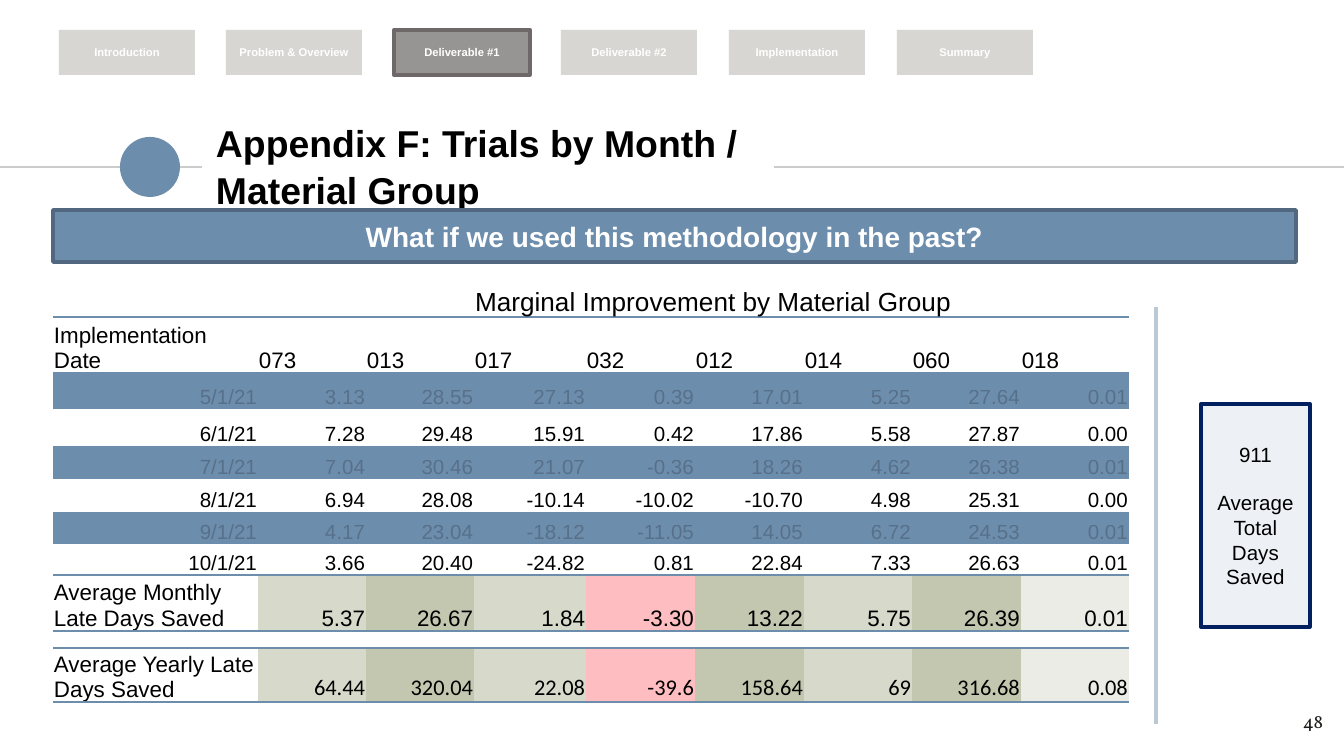
from pptx import Presentation
from pptx.dml.color import RGBColor
from pptx.enum.shapes import MSO_CONNECTOR as Connector, MSO_SHAPE as Preset
from pptx.enum.text import MSO_ANCHOR as Anchor, MSO_AUTO_SIZE as AutoSize, PP_ALIGN as Align
from pptx.oxml import parse_xml
from pptx.oxml.ns import nsdecls, qn
from pptx.util import Emu, Pt

SCALE = 914400 / 134.4
BLUE = "6D8DAD"
NO_TABLE_STYLE = "{2D5ABB26-0587-4C30-8999-92F81FD0307C}"
TABLE_LEFT = 53
COLUMNS = [205, 108, 108, 112, 109, 109, 108, 109, 108]
ROWS = [56, 36, 37, 33, 33, 32, 31, 56]
SAGE, OLIVE, PINK, PALE = "D7DACA", "C4C7B0", "FDBDC1", "EBECE5"
AVERAGE_FILLS = [None, SAGE, OLIVE, SAGE, PINK, OLIVE, SAGE, OLIVE, PALE]
SECTIONS = ["Introduction", "Problem & Overview", "Deliverable #1",
            "Deliverable #2", "Implementation", "Summary"]
CURRENT_SECTION = "Deliverable #1"
MONTHLY = [
    ["Implementation Date", "073", "013", "017", "032", "012", "014", "060", "018"],
    ["5/1/21", "3.13", "28.55", "27.13", "0.39", "17.01", "5.25", "27.64", "0.01"],
    ["6/1/21", "7.28", "29.48", "15.91", "0.42", "17.86", "5.58", "27.87", "0.00"],
    ["7/1/21", "7.04", "30.46", "21.07", "-0.36", "18.26", "4.62", "26.38", "0.01"],
    ["8/1/21", "6.94", "28.08", "-10.14", "-10.02", "-10.70", "4.98", "25.31", "0.00"],
    ["9/1/21", "4.17", "23.04", "-18.12", "-11.05", "14.05", "6.72", "24.53", "0.01"],
    ["10/1/21", "3.66", "20.40", "-24.82", "0.81", "22.84", "7.33", "26.63", "0.01"],
    ["Average Monthly Late Days Saved", "5.37", "26.67", "1.84", "-3.30", "13.22",
     "5.75", "26.39", "0.01"],
]
YEARLY = ["Average Yearly Late Days Saved", "64.44", "320.04", "22.08", "-39.6",
          "158.64", "69", "316.68", "0.08"]


def px(length):
    """Turn px into EMU."""
    return Emu(round(length * SCALE))


def rgb(value):
    """Turn a hex string into a colour."""
    return RGBColor.from_string(value)


def write(frame, text, size=12, font="Arial", color="000000", bold=False,
          align=Align.LEFT, gap=0, spacing=1.0):
    """Write one paragraph per line of text, with a gap in points between them."""
    for index, line in enumerate(text.split("\n")):
        para = frame.add_paragraph() if index else frame.paragraphs[0]
        para.alignment, para.line_spacing = align, spacing
        para.space_before = Pt(gap if index else 0)
        span = para.add_run()
        span.text = line
        span.font.size, span.font.name, span.font.bold = Pt(size), font, bold
        span.font.color.rgb = rgb(color)


def paint(item, element, color, alpha=100):
    """Fill a shape or cell with a colour of the given opacity, or with none."""
    if color is None:
        item.fill.background()
        return
    item.fill.solid()
    item.fill.fore_color.rgb = rgb(color)
    if alpha < 100:
        tint = element.find(f".//{qn('a:solidFill')}/{qn('a:srgbClr')}")
        tint.append(parse_xml(f'<a:alpha {nsdecls("a")} val="{alpha * 1000}"/>'))


class Painter:
    """Holds the style and the current slide."""

    def __init__(self, page):
        """Start on a page."""
        self.page = page
        self.shapes = page.shapes

    def set_up(self, frame, margin, anchor):
        """Set wrapping, margins and anchor of a text frame."""
        frame.word_wrap, frame.auto_size = True, AutoSize.NONE
        frame.vertical_anchor = anchor
        frame.margin_left = frame.margin_right = px(margin)
        frame.margin_top = frame.margin_bottom = px(margin)

    def title(self, text, left, top, width, height, **style):
        """Place and format the title placeholder."""
        box = self.shapes.title
        box.left, box.top, box.width, box.height = map(px, (left, top, width, height))
        self.set_up(box.text_frame, 13, Anchor.MIDDLE)
        write(box.text_frame, text, **style)

    def text(self, text, left, top, width, height, **style):
        """Add a text box."""
        box = self.shapes.add_textbox(*map(px, (left, top, width, height)))
        self.set_up(box.text_frame, 13, Anchor.TOP)
        write(box.text_frame, text, **style)

    def shape(self, left, top, width, height, fill, preset=Preset.RECTANGLE, text="",
              line=None, alpha=100, margin=0, **style):
        """Add a preset shape, with centred text if any."""
        box = self.shapes.add_shape(preset, *map(px, (left, top, width, height)))
        box.shadow.inherit = False
        paint(box, box.element, fill, alpha)
        if line:
            box.line.color.rgb, box.line.width = rgb(line), Pt(2)
        else:
            box.line.fill.background()
        if text:
            self.set_up(box.text_frame, margin, Anchor.MIDDLE)
            write(box.text_frame, text, align=Align.CENTER, **style)

    def line(self, x1, y1, x2, y2, color, width):
        """Add a straight line."""
        rule = self.shapes.add_connector(Connector.STRAIGHT, *map(px, (x1, y1, x2, y2)))
        rule.line.color.rgb, rule.line.width = rgb(color), Pt(width)
        rule.element.spPr.append(parse_xml(f'<a:effectLst {nsdecls("a")}/>'))

    def table(self, top, heights):
        """Add a plain table on the shared columns."""
        holder = self.shapes.add_table(
            len(heights), len(COLUMNS),
            *map(px, (TABLE_LEFT, top, sum(COLUMNS), sum(heights))))
        next(holder.element.iter(qn("a:tableStyleId"))).text = NO_TABLE_STYLE
        grid = holder.table
        grid.first_row = grid.horz_banding = False
        for column, width in zip(grid.columns, COLUMNS):
            column.width = px(width)
        for row, height in zip(grid.rows, heights):
            row.height = px(height)
        return grid

    def cell(self, cell, text, fill=None, alpha=100, ruled=False, **style):
        """Fill one table cell, with rules above and below if ruled."""
        cell.margin_left = cell.margin_right = cell.margin_top = px(1)
        cell.margin_bottom = 0
        cell.vertical_anchor = Anchor.BOTTOM
        write(cell.text_frame, text, **style)
        paint(cell, cell._tc, fill, alpha)
        for index, side in enumerate(("lnT", "lnB") if ruled else ()):
            cell._tc.get_or_add_tcPr().insert(index, parse_xml(
                f'<a:{side} {nsdecls("a")} w="12700"><a:solidFill>'
                f'<a:srgbClr val="{BLUE}"/></a:solidFill></a:{side}>'))

    def average_row(self, row, values, font="Arial"):
        """Fill a ruled row of averages: a label, then coloured values."""
        for index, (cell, value) in enumerate(zip(row.cells, values)):
            self.cell(cell, value, fill=AVERAGE_FILLS[index], ruled=True,
                      font=font if index else "Arial",
                      align=Align.RIGHT if index else Align.LEFT)


def main():
    """Build the slide."""
    deck = Presentation()
    deck.slide_width, deck.slide_height = px(1344), px(756)
    painter = Painter(deck.slides.add_slide(deck.slide_layouts[5]))

    painter.line(0, 167, 202, 167, "CCCCCC", 0.75)
    painter.shape(120, 137, 60, 60, BLUE, Preset.OVAL)
    painter.line(774, 167, 1344, 167, "CCCCCC", 0.75)
    painter.title("Appendix F: Trials by Month / Material Group", 203, 132, 570, 65,
                  size=20, bold=True, spacing=1.05)

    for index, section in enumerate(SECTIONS):
        current = section == CURRENT_SECTION
        painter.shape(59 + index * 838 // 5, 30, 136, 45,
                      "979593" if current else "D8D6D2", text=section,
                      line="6F6868" if current else None,
                      size=6, color="FFFFFF", bold=True)

    painter.shape(53, 210, 1243, 52, BLUE, line="516880",
                  text="What if we used this methodology in the past?",
                  size=15, color="FFFFFF", bold=True)
    painter.text("48", 1255, 697, 81, 58, size=10, font="Vollkorn", color="1D1D1B",
                 align=Align.RIGHT)

    header, *months, averages = MONTHLY
    monthly = painter.table(317, ROWS)
    header_row, *month_rows, average_row = monthly.rows
    for cell, value in zip(header_row.cells, header):
        painter.cell(cell, value, ruled=True)
    for index, (row, values) in enumerate(zip(month_rows, months)):
        for cell, value in zip(row.cells, values):
            painter.cell(cell, value, fill=None if index % 2 else BLUE, alpha=20,
                         size=11, align=Align.RIGHT)
    painter.average_row(average_row, averages)

    painter.text("Marginal Improvement by Material Group", 462, 272, 511, 46, size=14)
    yearly = painter.table(648, [54])
    painter.average_row(yearly.rows[0], YEARLY, font="Calibri")

    painter.line(1156, 307, 1156, 724, "BBC9D4", 2.25)
    painter.shape(1201, 404, 109, 223, "A7BBCE", text="911\nAverage Total Days Saved",
                  line="002060", alpha=20, margin=13, size=11, gap=12.65)
    deck.save("out.pptx")


if __name__ == "__main__":
    main()
